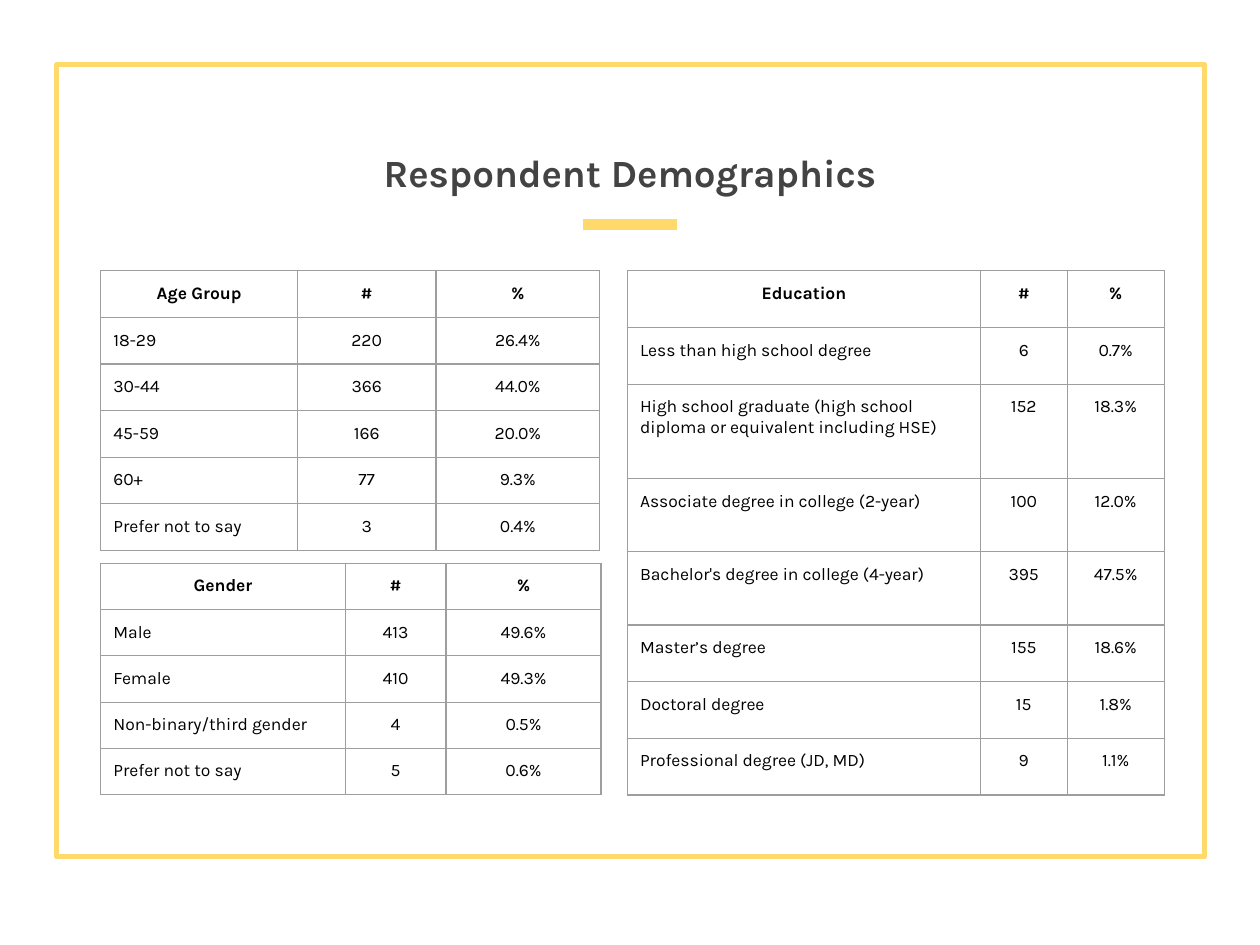
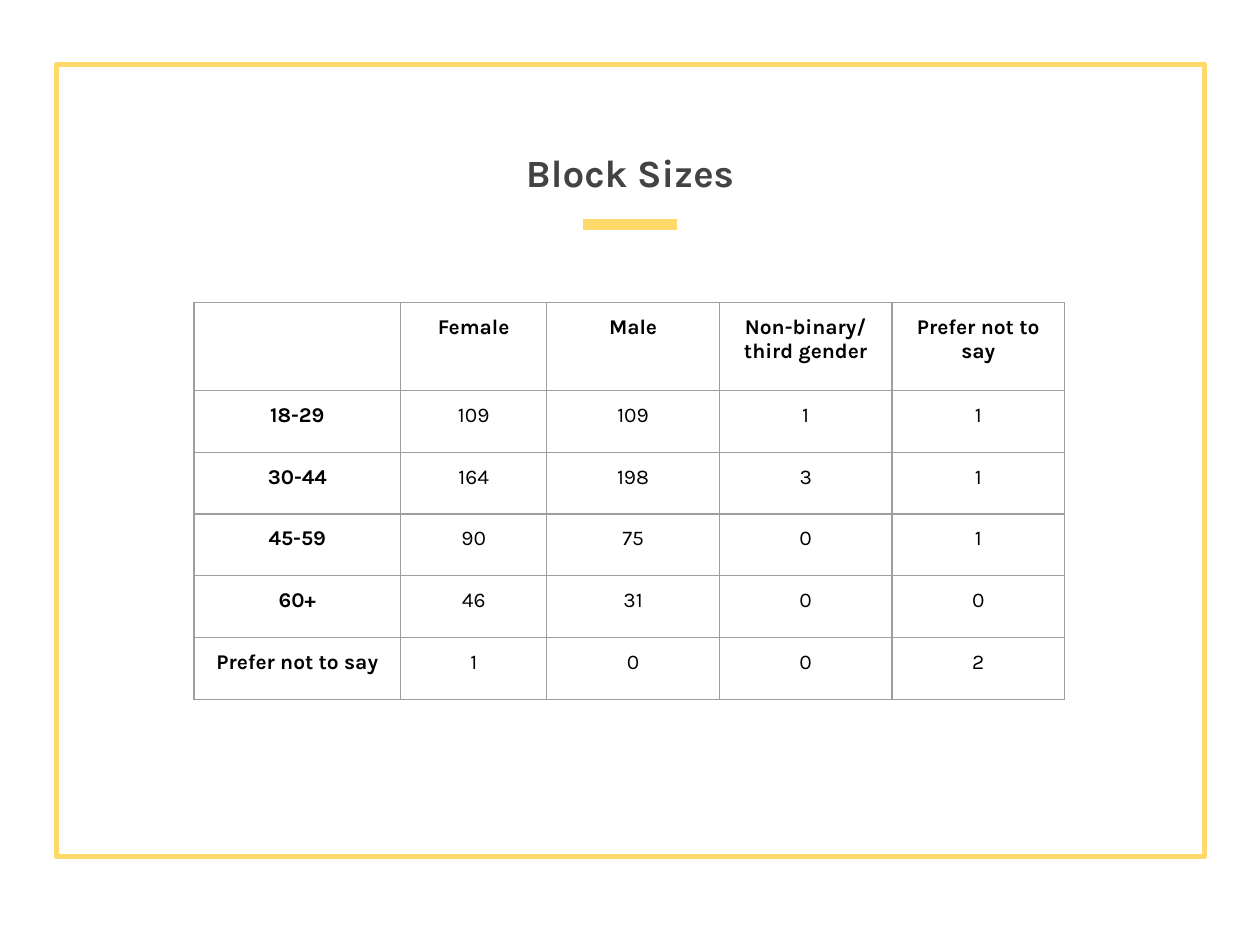
import pptx
import pptx.util
import pptx.dml.color
import pptx.enum.shapes
import pptx.enum.text
import pptx.oxml
import pptx.oxml.ns
import lxml.etree

Inches = pptx.util.Inches
Pt = pptx.util.Pt
ALIGN = pptx.enum.text.PP_ALIGN

FONT = "Karla"
COLORS = {
    "accent": "FFD969",
    "title": "434343",
    "text": "000000",
    "grid": "9E9E9E",
}
SLIDE_WIDTH, SLIDE_HEIGHT = 10, 7.5
INSET = 0.1

AGE_ROWS = [
    ["Age Group", "#", "%"],
    ["18-29", "220", "26.4%"],
    ["30-44", "366", "44.0%"],
    ["45-59", "166", "20.0%"],
    ["60+", "77", "9.3%"],
    ["Prefer not to say", "3", "0.4%"],
]
GENDER_ROWS = [
    ["Gender", "#", "%"],
    ["Male", "413", "49.6%"],
    ["Female", "410", "49.3%"],
    ["Non-binary/third gender", "4", "0.5%"],
    ["Prefer not to say", "5", "0.6%"],
]
EDUCATION_ROWS = [
    ["Education", "#", "%"],
    ["Less than high school degree", "6", "0.7%"],
    ["High school graduate (high school diploma or equivalent including HSE)", "152", "18.3%"],
    ["Associate degree in college (2-year)", "100", "12.0%"],
    ["Bachelor's degree in college (4-year)", "395", "47.5%"],
    ["Master’s degree", "155", "18.6%"],
    ["Doctoral degree", "15", "1.8%"],
    ["Professional degree (JD, MD)", "9", "1.1%"],
]
BLOCK_ROWS = [
    ["", "Female", "Male", "Non-binary/\nthird gender", "Prefer not to say"],
    ["18-29", "109", "109", "1", "1"],
    ["30-44", "164", "198", "3", "1"],
    ["45-59", "90", "75", "0", "1"],
    ["60+", "46", "31", "0", "0"],
    ["Prefer not to say", "1", "0", "0", "2"],
]


def rgb(name):
    return pptx.dml.color.RGBColor.from_string(COLORS[name])


def write_text(text_frame, text, size, color, bold, alignment):
    """Write one paragraph per line of text."""
    for index, line in enumerate(text.split("\n")):
        paragraph = text_frame.add_paragraph() if index else text_frame.paragraphs[0]
        paragraph.alignment = alignment
        run = paragraph.add_run()
        run.text = line
        run.font.name = FONT
        run.font.size = Pt(size)
        run.font.bold = bold
        run.font.color.rgb = rgb(color)


def set_insets(target):
    for side in ("left", "top", "right", "bottom"):
        setattr(target, f"margin_{side}", Inches(INSET))


def set_borders(cell):
    properties = cell._tc.get_or_add_tcPr()
    namespace = pptx.oxml.ns.nsdecls("a")
    for side in "LRTB":
        properties.append(pptx.oxml.parse_xml(
            f'<a:ln{side} {namespace} w="{Pt(0.75)}"><a:solidFill>'
            f'<a:srgbClr val="{COLORS["grid"]}"/></a:solidFill></a:ln{side}>'))


def add_frame(slide, left, top, width, height):
    frame = slide.shapes.add_shape(
        pptx.enum.shapes.MSO_SHAPE.RECTANGLE,
        Inches(left), Inches(top), Inches(width), Inches(height))
    frame.shadow.inherit = False
    frame.fill.background()
    frame.line.color.rgb = rgb("accent")
    frame.line.width = Pt(3)


def add_title(slide, title, left, top, width, height):
    # Heading
    box = slide.shapes.add_textbox(Inches(left), Inches(top), Inches(width), Inches(height))
    text_frame = box.text_frame
    text_frame.word_wrap = True
    text_frame.vertical_anchor = pptx.enum.text.MSO_ANCHOR.BOTTOM
    set_insets(text_frame)
    write_text(text_frame, title, 22, "title", True, ALIGN.CENTER)

    # Short rule centred below the heading
    center, rule_top, half_rule = left + width / 2, top + height + 0.13, 0.37
    rule = slide.shapes.add_connector(
        pptx.enum.shapes.MSO_CONNECTOR.STRAIGHT,
        Inches(center - half_rule), Inches(rule_top),
        Inches(center + half_rule), Inches(rule_top))
    rule.line.color.rgb = rgb("accent")
    rule.line.width = Pt(6)
    lxml.etree.SubElement(rule._element.spPr, pptx.oxml.ns.qn("a:effectLst"))


def add_grid(slide, rows, left, top, column_widths, row_heights, size=10, bold_labels=False):
    """Add a table with a bold header row; labels are bold and centred on request."""
    table = slide.shapes.add_table(
        len(rows), len(column_widths), Inches(left), Inches(top),
        Inches(sum(column_widths)), Inches(sum(row_heights))).table
    table.first_row = table.horz_banding = False
    for column, width in zip(table.columns, column_widths):
        column.width = Inches(width)
    for row, height in zip(table.rows, row_heights):
        row.height = Inches(height)

    for row_index, values in enumerate(rows):
        for column_index, value in enumerate(values):
            cell = table.cell(row_index, column_index)
            set_insets(cell)
            set_borders(cell)
            cell.fill.background()
            is_header, is_label = row_index == 0, column_index == 0
            bold = is_header or (is_label and bold_labels)
            alignment = ALIGN.LEFT if is_label and not bold else ALIGN.CENTER
            if value:
                write_text(cell.text_frame, value, size, "text", bold, alignment)


def add_base_slide(presentation, title):
    slide = presentation.slides.add_slide(presentation.slide_layouts[6])
    add_frame(slide, 0.45, 0.51, 9.11, 6.29)
    add_title(slide, title, 0, 0.32, SLIDE_WIDTH, 1.33)
    return slide


def add_demographics_slide(presentation):
    slide = add_base_slide(presentation, "Respondent Demographics")
    left, right, top = 0.8, 4.98, 2.15
    add_grid(slide, AGE_ROWS, left, top, [1.56, 1.1, 1.3], [0.37] * 6)
    add_grid(slide, GENDER_ROWS, left, top + 2.32, [1.94, 0.8, 1.23], [0.36] * 5)
    add_grid(slide, EDUCATION_ROWS, right, top, [2.8, 0.69, 0.77],
             [0.45, 0.45, 0.75, 0.58, 0.58, 0.45, 0.45, 0.45])


def add_block_sizes_slide(presentation):
    slide = add_base_slide(presentation, "Block Sizes")
    add_grid(slide, BLOCK_ROWS, 1.54, 2.4, [1.64, 1.16] + [1.37] * 3,
             [0.7] + [0.49] * 5, size=12, bold_labels=True)


def main():
    presentation = pptx.Presentation()
    presentation.slide_width = Inches(SLIDE_WIDTH)
    presentation.slide_height = Inches(SLIDE_HEIGHT)
    add_demographics_slide(presentation)
    add_block_sizes_slide(presentation)
    presentation.save("out.pptx")


if __name__ == "__main__":
    main()
